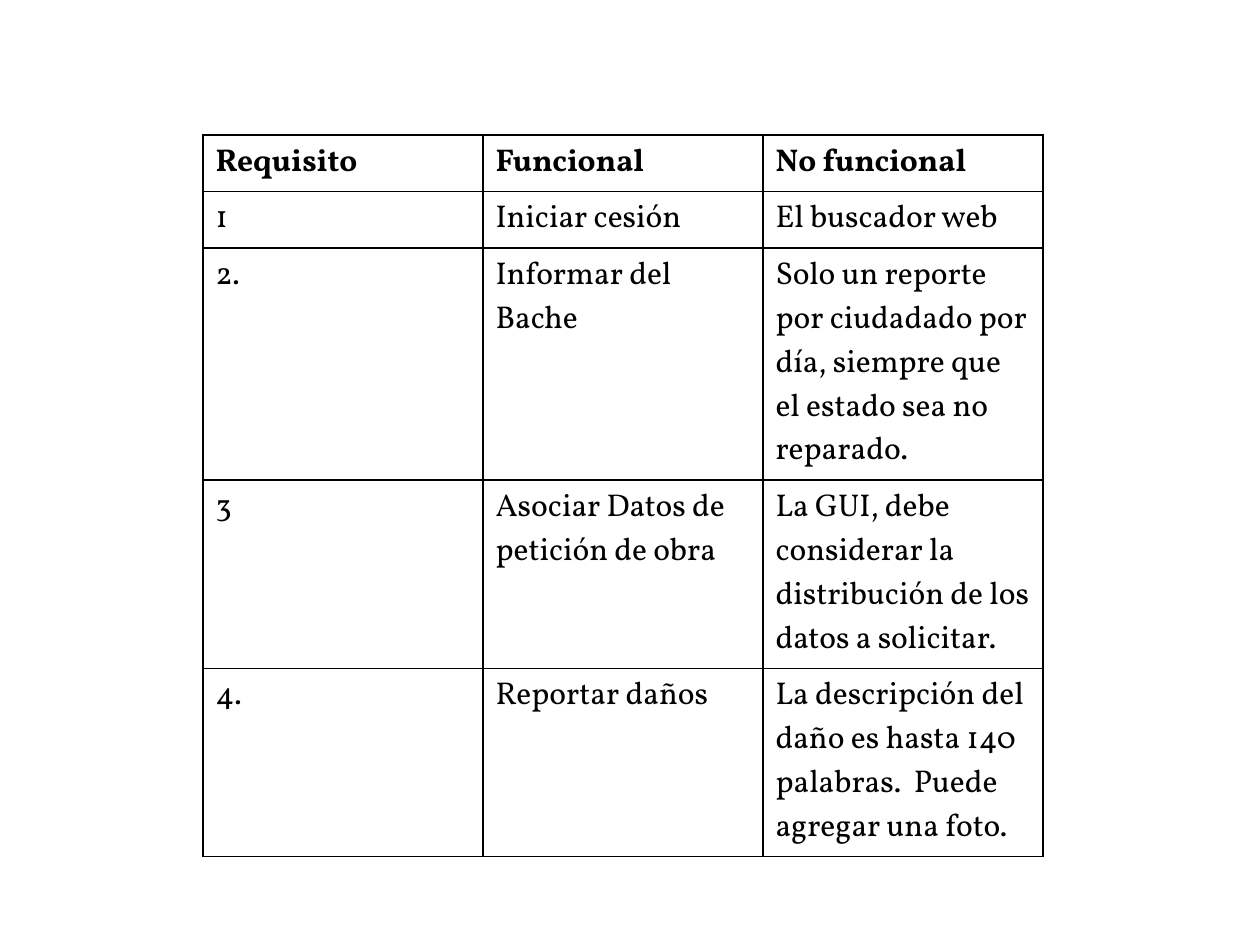
from lxml import etree
from pptx import Presentation
from pptx.dml.color import RGBColor
from pptx.oxml import ns
from pptx.util import Pt

FONT = "Vollkorn"
BLACK = RGBColor(0, 0, 0)
WHITE = RGBColor(255, 255, 255)

REQUIREMENTS = [
    ("Requisito", "Funcional", "No funcional"),
    ("1", "Iniciar cesión", "El buscador web"),
    ("2.", "Informar del Bache",
     "Solo un reporte por ciudadado por día, siempre que  el estado sea no reparado."),
    ("3", "Asociar Datos de petición de obra",
     "La GUI, debe considerar la distribución de los datos a solicitar."),
    ("4.", "Reportar daños",
     "La descripción del daño es hasta 140 palabras.  Puede agregar una foto."),
]
LEFT, TOP = 116, 77.1
COL_W, ROW_H = 160, 29.2


def add_borders(cell):
    """Draw a 1 pt black line on all four sides, ahead of the cell's fill."""
    tc_pr = cell._tc.get_or_add_tcPr()
    for i, side in enumerate(("lnL", "lnR", "lnT", "lnB")):
        ln = etree.Element(ns.qn(f"a:{side}"), w=str(Pt(1)))
        fill = etree.SubElement(ln, ns.qn("a:solidFill"))
        etree.SubElement(fill, ns.qn("a:srgbClr"), val=str(BLACK))
        tc_pr.insert(i, ln)


def fill_cell(cell, content, bold):
    cell.fill.solid()
    cell.fill.fore_color.rgb = WHITE
    add_borders(cell)
    r = cell.text_frame.paragraphs[0].add_run()
    r.text = content
    r.font.name = FONT
    r.font.size = Pt(18)
    r.font.bold = bold
    r.font.color.rgb = BLACK


def main():
    prs = Presentation()
    prs.slide_width, prs.slide_height = Pt(720), Pt(540)
    s = prs.slides.add_slide(prs.slide_layouts[6])

    n_rows, n_cols = len(REQUIREMENTS), len(REQUIREMENTS[0])
    table = s.shapes.add_table(n_rows, n_cols, Pt(LEFT), Pt(TOP),
                               Pt(COL_W * n_cols), Pt(ROW_H * n_rows)).table
    table.horz_banding = False
    for col in table.columns:
        col.width = Pt(COL_W)
    for i, row in enumerate(REQUIREMENTS):
        table.rows[i].height = Pt(ROW_H)
        for j, content in enumerate(row):
            fill_cell(table.cell(i, j), content, bold=i == 0)

    prs.save("out.pptx")


if __name__ == "__main__":
    main()
